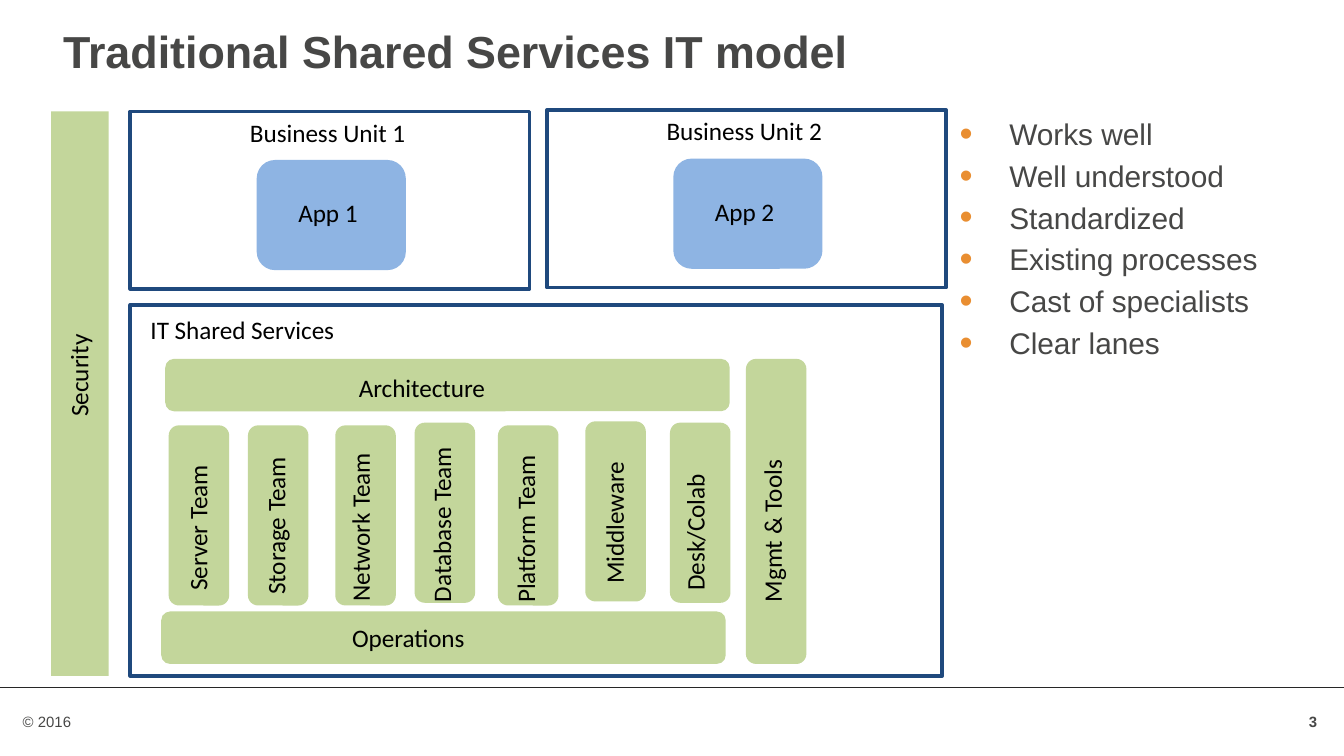
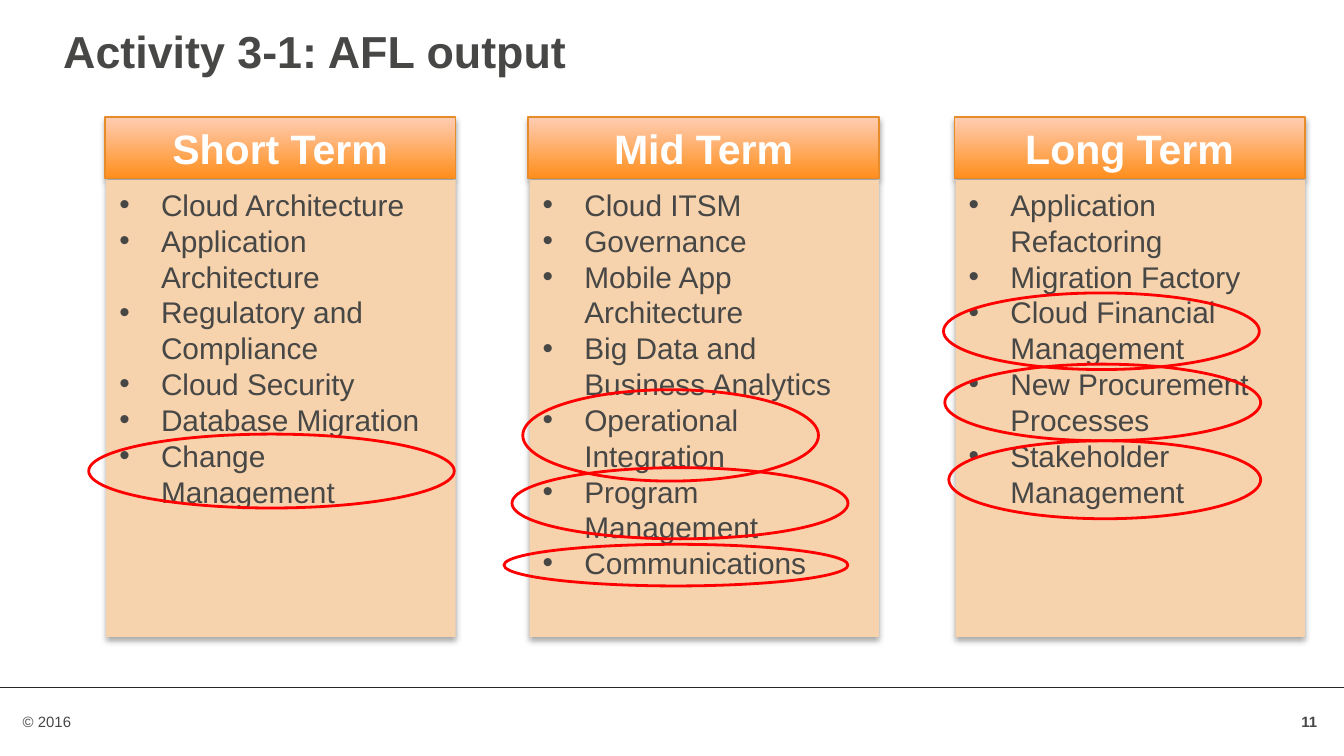
from lxml.etree import SubElement
from pptx import Presentation
from pptx.dml.color import RGBColor
from pptx.enum.shapes import MSO_CONNECTOR, MSO_SHAPE as Shape, MSO_SHAPE_TYPE as Kind
from pptx.enum.text import MSO_ANCHOR as Anchor, MSO_AUTO_SIZE as Fit, PP_ALIGN as Align
from pptx.oxml.ns import qn
from pptx.util import Inches, Pt

GREY = RGBColor(0x47, 0x47, 0x46)
BLACK = RGBColor(0x00, 0x00, 0x00)
WHITE = RGBColor(0xFF, 0xFF, 0xFF)
RULE = RGBColor(0x27, 0x27, 0x27)
NAVY = RGBColor(0x1F, 0x49, 0x7D)
GREEN = RGBColor(0xC3, 0xD6, 0x9B)
BLUE = RGBColor(0x8E, 0xB4, 0xE3)
ORANGE = RGBColor(0xE9, 0x8E, 0x31)
AMBER = RGBColor(0xFF, 0x8E, 0x1B)
PEACH = RGBColor(0xFF, 0xCD, 0xB4)
HEADER_EDGE = RGBColor(0xE8, 0x8B, 0x2B)
SAND = RGBColor(0xF6, 0xD2, 0xAD)
RED = RGBColor(0xFF, 0x00, 0x00)

TITLE = dict(size=Pt(24), name="Arial", bold=True, color=GREY)
LIST = dict(size=Pt(16), name="Arial", bold=False, color=GREY)
SMALL = dict(size=Pt(8), name="Arial", bold=False, color=GREY)
HEADING = dict(size=Pt(22), name="Arial", bold=True, color=WHITE)
LABEL = dict(size=Pt(13.5), name="Calibri", bold=False, color=BLACK)

PLAIN = dict(word_wrap=True, auto_size=Fit.NONE, vertical_anchor=Anchor.TOP)
MIDDLE = dict(PLAIN, vertical_anchor=Anchor.MIDDLE)
TIGHT = dict(PLAIN, margin_left=0, margin_top=0, margin_right=0, margin_bottom=0)

prs = Presentation()
prs.slide_width = Inches(10)
prs.slide_height = prs.slide_width * 9 // 16
CELL = prs.slide_width / 100


def place(shape, box, rotation=0, fill=None, line=None, weight=2):
    for side, cells in zip(("left", "top", "width", "height"), box):
        setattr(shape, side, round(cells * CELL))
    shape.rotation = rotation
    if shape.shape_type == Kind.AUTO_SHAPE:
        shape.shadow.inherit = False
        for paint, color in ((shape.fill, fill), (shape.line.fill, line)):
            if color is None:
                paint.background()
            else:
                paint.solid()
                paint.fore_color.rgb = color
        if line is not None:
            shape.line.width = Pt(weight)
    return shape


def write(shape, lines, look, frame_format=PLAIN, align=Align.LEFT, bullet=None):
    frame = shape.text_frame
    for key, value in frame_format.items():
        setattr(frame, key, value)
    for index, line in enumerate(lines):
        paragraph = frame.add_paragraph() if index else frame.paragraphs[0]
        paragraph.alignment = align
        if not index:
            paragraph.space_before = Pt(0)
        if bullet:
            level, margin, hang, color, percent = bullet
            paragraph.level = level
            props = paragraph._p.get_or_add_pPr()
            props.set("marL", str(Inches(margin)))
            props.set("indent", str(-Inches(hang)))
            tint = SubElement(props, qn("a:buClr"))
            SubElement(tint, qn("a:srgbClr"), val=str(color))
            SubElement(props, qn("a:buSzPct"), val=str(percent * 1000))
            SubElement(props, qn("a:buFont"), typeface="Arial")
            SubElement(props, qn("a:buChar"), char="•")
        run = paragraph.add_run()
        run.text = line
        for key, value in look.items():
            if key == "color":
                run.font.color.rgb = value
            else:
                setattr(run.font, key, value)


pages = []
for layout, heading, number in (
    (1, "Traditional Shared Services IT model", "3"),
    (5, "Activity 3-1: AFL output", "11"),
):
    page = prs.slides.add_slide(prs.slide_layouts[layout])
    pages.append(page)
    write(place(page.shapes.title, (3.7, 1.3, 89.7, 7.4)), [heading], TITLE)
    page_number = place(page.shapes.add_textbox(0, 0, 0, 0), (95.5, 52.2, 3.5, 3))
    write(page_number, [number], dict(SMALL, bold=True), MIDDLE, Align.RIGHT)
    write(place(page.shapes.add_textbox(0, 0, 0, 0), (0.7, 52.5, 55.1, 2.4)), ["© 2016"], SMALL)
    for start, end in ((0, 100), (1, 99)):
        rule = page.shapes.add_connector(
            MSO_CONNECTOR.STRAIGHT, *(round(c * CELL) for c in (start, 51.1, end, 51.1)))
        rule.line.color.rgb = RULE
        rule.line.width = Pt(0.25)
        SubElement(rule._element.spPr, qn("a:effectLst"))

model, activity = pages

services = [
    (Shape.RECTANGLE, (9.7, 22.7, 60.4, 27.6), 0, None, NAVY,
     "IT Shared Services", (11.2, 23.4, 23, 2.2)),
    (Shape.RECTANGLE, (3.8, 8.3, 4.3, 42), 0, GREEN, None, "Security", (1.5, 25.3, 8.9, 2.5)),
    (Shape.ROUNDED_RECTANGLE, (12.3, 26.7, 42, 3.9), 0, GREEN, None,
     "Architecture", (26.7, 27.7, 12.7, 2.2)),
    (Shape.ROUNDED_RECTANGLE, (12, 45.5, 42, 3.9), 0, GREEN, None,
     "Operations", (26.2, 46.3, 12.7, 2.2)),
    (Shape.ROUNDED_RECTANGLE, (46.4, 35.8, 22.7, 4.5), 270, GREEN, None,
     "Mgmt & Tools", (51, 37, 13.1, 2.5)),
]
for team, left, top, label_box in (
    ("Server Team", 8.1, 36.1, (9.2, 37.1, 11.2, 2.5)),
    ("Storage Team", 14, 36.1, (14.5, 36.9, 12.2, 2.5)),
    ("Network Team", 20.5, 36.1, (20, 36.6, 13.8, 2.5)),
    ("Database Team", 26.4, 35.9, (25.9, 36.5, 14.1, 2.5)),
    ("Platform Team", 32.6, 36.1, (32.5, 36.9, 13.4, 2.5)),
    ("Middleware", 39.1, 35.8, (40.7, 37.1, 10.2, 2.5)),
    ("Desk/Colab", 45.4, 35.9, (46.2, 37.1, 11.2, 2.5)),
):
    services.append((Shape.ROUNDED_RECTANGLE, (left, top, 13.4, 4.5), 270, GREEN, None,
                     team, label_box))
for unit, left, top in ((1, 9.7, 8.3), (2, 40.7, 8.2)):
    services += [
        (Shape.RECTANGLE, (left, top, 29.7, 13.2), 0, None, NAVY,
         f"Business Unit {unit}", (left + 8.9, top + 0.4, 17.1, 2.2)),
        (Shape.ROUNDED_RECTANGLE, (left + 9.4, top + 3.6, 11.1, 8.2), 0, BLUE, None,
         f"App {unit}", (left + 12.5, top + 6.4, 6, 2.2)),
    ]
for outline, box, turn, fill, edge, label, label_box in services:
    place(model.shapes.add_shape(outline, 0, 0, 0, 0), box, turn, fill, edge)
    label_turn = 270 if label == "Security" else turn
    caption = place(model.shapes.add_textbox(0, 0, 0, 0), label_box, label_turn)
    write(caption, [label], LABEL, TIGHT)

benefits = place(model.placeholders[1], (70.3, 8.1, 26.7, 40.3))
write(benefits, ["Works well", "Well understood", "Standardized", "Existing processes",
                 "Cast of specialists", "Clear lanes"],
      LIST, bullet=(1, 0.38, 0.37, ORANGE, 125))

terms = (
    ("Short Term", 7.8, [
        "Cloud Architecture", "Application Architecture", "Regulatory and Compliance",
        "Cloud Security", "Database Migration", "Change Management"]),
    ("Mid Term", 39.3, [
        "Cloud ITSM", "Governance", "Mobile App Architecture",
        "Big Data and Business Analytics", "Operational Integration",
        "Program Management", "Communications"]),
    ("Long Term", 71, [
        "Application Refactoring", "Migration Factory", "Cloud Financial Management",
        "New Procurement Processes", "Stakeholder Management"]),
)
for term, left, topics in terms:
    header = place(activity.shapes.add_shape(Shape.RECTANGLE, 0, 0, 0, 0),
                   (left, 8.7, 26.1, 4.6), line=HEADER_EDGE, weight=0.75)
    header.fill.gradient()
    header.fill.gradient_angle = 90
    for stop, color in zip(header.fill.gradient_stops, (AMBER, PEACH)):
        stop.color.rgb = color
    write(header, [term], HEADING, MIDDLE, Align.CENTER)
    panel = place(activity.shapes.add_shape(Shape.RECTANGLE, 0, 0, 0, 0),
                  (left + 0.1, 13.4, 26, 34), fill=SAND)
    write(panel, topics, LIST, bullet=(0, 0.31, 0.31, GREY, 100))
    for card in (header, panel):
        effects = card._element.spPr.find(qn("a:effectLst"))
        shadow = SubElement(effects, qn("a:outerShdw"), blurRad=str(Pt(3.1)),
                            dist=str(Pt(1.8)), dir="5400000", rotWithShape="0")
        tint = SubElement(shadow, qn("a:srgbClr"), val=str(BLACK))
        SubElement(tint, qn("a:alpha"), val="35000")

for ring in (
    (70.3, 27.1, 23.5, 5.7),
    (70.6, 32.8, 23.2, 5.8),
    (6.6, 32.3, 27.2, 5.5),
    (37.5, 40.5, 25.6, 3.1),
    (38.1, 34.8, 25, 5.3),
    (38.9, 29, 22, 6.8),
    (70.2, 21.8, 23.5, 5.7),
):
    place(activity.shapes.add_shape(Shape.OVAL, 0, 0, 0, 0), ring, line=RED, weight=1.5)

prs.save("out.pptx")
